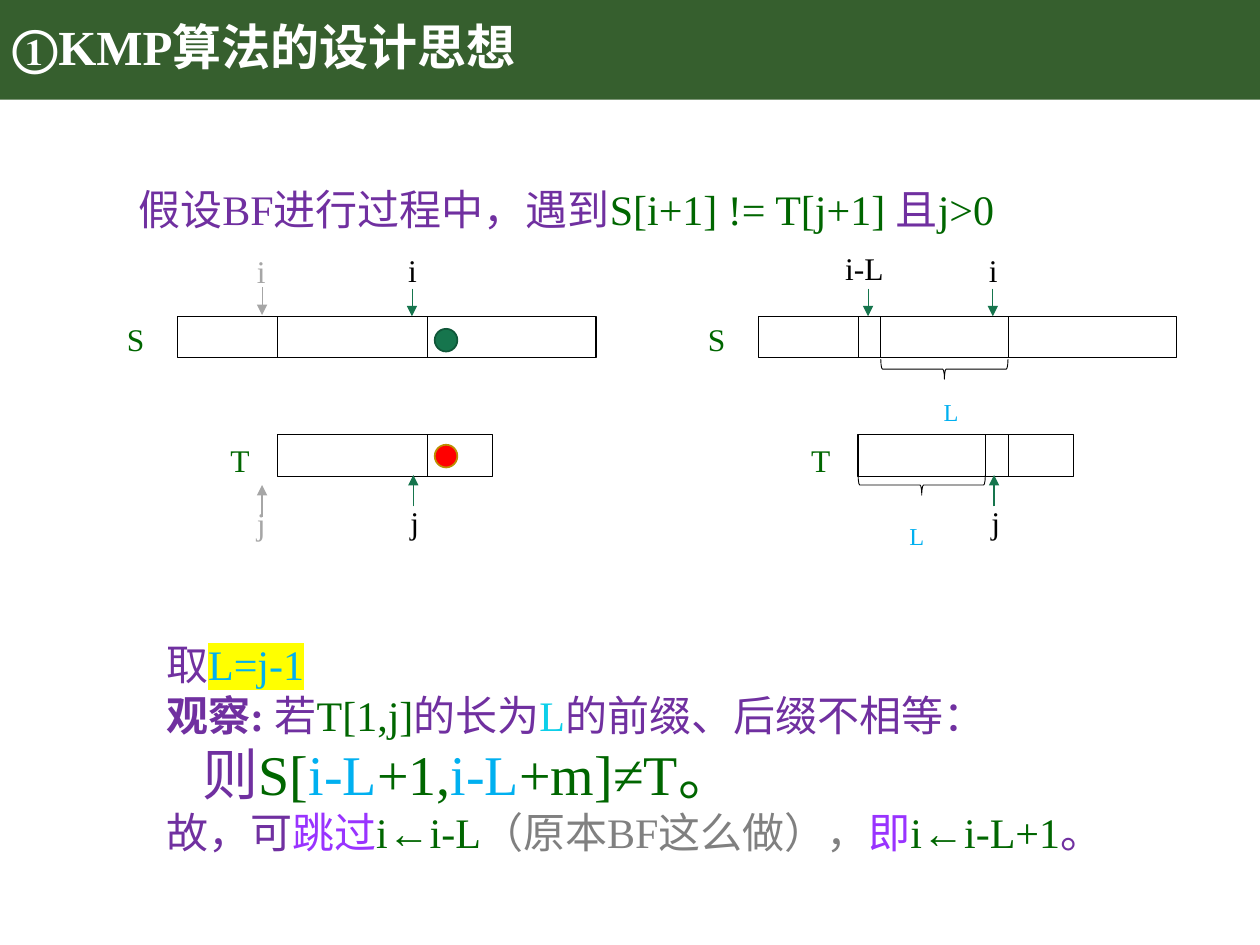
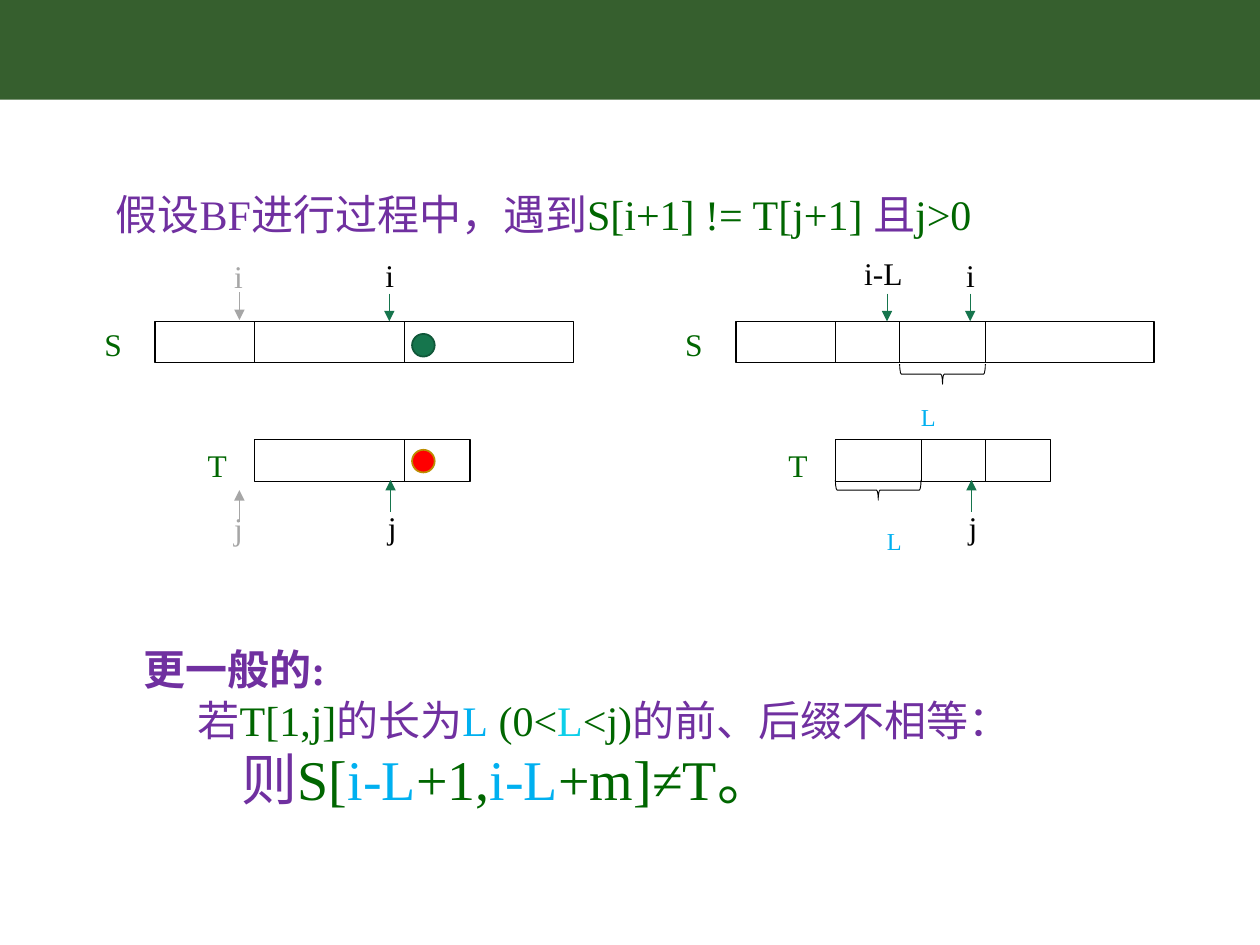
from dataclasses import dataclass

from lxml.etree import SubElement
from pptx import Presentation
from pptx.dml.color import RGBColor
from pptx.enum.shapes import MSO_CONNECTOR, MSO_SHAPE
from pptx.enum.text import MSO_ANCHOR, MSO_AUTO_SIZE, PP_ALIGN
from pptx.oxml.ns import qn
from pptx.util import Inches, Pt


@dataclass(frozen=True)
class Theme:
    font: str = "Times New Roman"
    band: str = "365F2E"
    white: str = "FFFFFF"
    black: str = "000000"
    gray: str = "A6A6A6"
    note: str = "808080"
    text: str = "7030A0"
    skip: str = "9933FF"
    code: str = "006600"
    blue: str = "00B0F0"
    cyan: str = "0DCFE9"
    mark: str = "FFFF00"
    green: str = "16754D"
    rim: str = "105739"
    red: str = "FF0000"
    gold: str = "BD8E00"
    title: int = 28
    large: int = 32
    body: int = 24
    label: int = 18


THEME = Theme()


@dataclass(frozen=True)
class Run:
    text: str
    color: str = THEME.text
    bold: bool = False
    mark: str = ""
    base: int = 0


@dataclass(frozen=True)
class Line:
    runs: list[Run]
    size: int = THEME.body
    indent: float = 0


@dataclass(frozen=True)
class Label:
    text: str
    x: float
    y: float
    width: float
    color: str = THEME.black


@dataclass(frozen=True)
class Arrow:
    x: float
    start: float
    end: float
    color: str = THEME.green
    weight: float = 0.5


@dataclass(frozen=True)
class Dot:
    y: float
    fill: str
    rim: str


@dataclass(frozen=True)
class Case:
    """One slide: where string S starts, the overlap length, and its words."""
    title: str
    x: float
    y: float
    overlap: float
    height: float
    lines: list[Line]


# Lengths inside a panel are measured from the top left corner of bar S.
STEP = 4.61
BAR = 0.33
S_WIDTH = 3.32
T_LEFT, T_TOP, T_WIDTH = 0.79, 0.94, 1.71
SPLIT = 1.98

LABELS = [
    Label("j", 1.75, 1.43, 0.36),
    Label("i", 1.73, -0.57, 0.36),
    Label("S", -0.5, -0.02, 0.44, THEME.code),
    Label("T", 0.32, 0.94, 0.44, THEME.code),
]
ARROWS = [Arrow(1.86, -0.22, 0), Arrow(1.87, 1.51, 1.26, weight=0.75)]
OLD_LABELS = [
    Label("j", 0.53, 1.44, 0.36, THEME.gray),
    Label("i", 0.53, -0.56, 0.36, THEME.gray),
]
OLD_ARROWS = [
    Arrow(0.67, -0.23, -0.01, THEME.gray),
    Arrow(0.67, 1.59, 1.34, THEME.gray, 0.75),
]
DOTS = [Dot(0.1, THEME.green, THEME.rim), Dot(1.02, THEME.red, THEME.gold)]

PREMISE = Line([
    Run("假设BF进行过程中，遇到"), Run("S[i+1] != T[j+1] ", THEME.code),
    Run("且"), Run("j>0", THEME.code),
])
RESULT = [
    Run("则"), Run("S[", THEME.code), Run("i-L", THEME.blue),
    Run("+1,", THEME.code), Run("i-L", THEME.blue),
    Run("+m]≠T。", THEME.code),
]
CASES = [
    Case("①KMP算法的设计思想", 1.41, 2.51, 1.01, 1.85, [
        Line([Run("取"), Run("L=j-1", THEME.blue, mark=THEME.mark)]),
        Line([Run("观察: ", bold=True), Run("若"),
              Run("T[1,j]", THEME.code), Run("的长为"),
              Run("L", THEME.cyan), Run("的前缀、后缀不相等：")]),
        Line(RESULT, THEME.large, 0.29),
        Line([Run("故，可"), Run("跳过", THEME.skip),
              Run("i←i-L", THEME.code),
              Run("（原本BF这么做），", THEME.note),
              Run("即", THEME.skip), Run("i←i-L+1", THEME.code),
              Run("。")]),
    ]),
    Case("", 1.23, 2.55, 0.68, 1.45, [
        Line([Run("更一般的:", bold=True)]),
        Line([Run("若"), Run("T[1,j]", THEME.code), Run("的长为"),
              Run("L", THEME.blue), Run(" (0<", THEME.code),
              Run("L", THEME.cyan), Run("<j)", THEME.code),
              Run("的前、后缀不相等：")], indent=0.43),
        Line(RESULT, THEME.large, 0.78),
    ]),
]


def rgb(color: str) -> RGBColor:
    return RGBColor.from_string(color)


def add_run(para, run: Run, size: int) -> None:
    part = para.add_run()
    part.text = run.text
    font = part.font
    font.name, font.size, font.bold = THEME.font, Pt(size), run.bold
    font.color.rgb = rgb(run.color)
    props = part._r.get_or_add_rPr()
    if run.base:
        props.set("baseline", str(run.base * 1000))
    if run.mark:
        mark = SubElement(props, qn("a:highlight"))
        SubElement(mark, qn("a:srgbClr")).set("val", run.mark)
        props.find(qn("a:solidFill")).addnext(mark)


def add_text(slide, x: float, y: float, width: float, height: float,
             lines: list[Line]) -> None:
    box = slide.shapes.add_textbox(Inches(x), Inches(y),
                                   Inches(width), Inches(height))
    frame = box.text_frame
    frame.word_wrap = True
    frame.auto_size = MSO_AUTO_SIZE.SHAPE_TO_FIT_TEXT
    for index, line in enumerate(lines):
        para = frame.add_paragraph() if index else frame.paragraphs[0]
        if line.indent:
            para._p.get_or_add_pPr().set("marL", str(Inches(line.indent)))
        for run in line.runs:
            add_run(para, run, line.size)


def add_shape(slide, kind, x: float, y: float, width: float, height: float,
              fill: str = "", line: str = "", weight: float = 0.75):
    shape = slide.shapes.add_shape(kind, Inches(x), Inches(y),
                                   Inches(width), Inches(height))
    shape.shadow.inherit = False
    if fill:
        shape.fill.solid()
        shape.fill.fore_color.rgb = rgb(fill)
    else:
        shape.fill.background()
    if line:
        shape.line.color.rgb = rgb(line)
        shape.line.width = Pt(weight)
    else:
        shape.line.fill.background()
    return shape


@dataclass(frozen=True)
class Panel:
    """Draws parts at places measured from the corner of bar S."""
    slide: object
    x: float
    y: float

    def label(self, item: Label) -> None:
        add_text(self.slide, self.x + item.x, self.y + item.y, item.width, 0.4,
                 [Line([Run(item.text, item.color)], THEME.label)])

    def stroke(self, item: Arrow, head: bool = True) -> None:
        x = Inches(self.x + item.x)
        line = self.slide.shapes.add_connector(
            MSO_CONNECTOR.STRAIGHT, x, Inches(self.y + item.start),
            x, Inches(self.y + item.end))
        line.line.color.rgb = rgb(item.color)
        line.line.width = Pt(item.weight)
        props = line.element.spPr
        if head:
            tail = SubElement(props.find(qn("a:ln")), qn("a:tailEnd"))
            tail.set("type", "triangle")
        SubElement(props, qn("a:effectLst"))

    def cut(self, x: float, top: float) -> None:
        self.stroke(Arrow(x, top, top + BAR, THEME.black), head=False)

    def bar(self, x: float, y: float, width: float) -> None:
        add_shape(self.slide, MSO_SHAPE.RECTANGLE, self.x + x, self.y + y,
                  width, BAR, line=THEME.black)

    def dot(self, item: Dot) -> None:
        add_shape(self.slide, MSO_SHAPE.OVAL, self.x + 2.04, self.y + item.y,
                  0.18, 0.18, item.fill, item.rim, 1)

    def brace(self, left: float, top: float, span: float) -> None:
        """Lay a right brace on its side, so that it opens upwards."""
        depth = 0.16
        shape = add_shape(self.slide, MSO_SHAPE.RIGHT_BRACE,
                          self.x + left + (span - depth) / 2,
                          self.y + top + (depth - span) / 2,
                          depth, span, line=THEME.black, weight=0.5)
        shape.rotation = 90

    def size(self, x: float, y: float) -> None:
        add_text(self.slide, self.x + x, self.y + y, 0.47, 0.37,
                 [Line([Run("L", THEME.blue, base=-25)])])

    def draw(self, labels: list[Label], arrows: list[Arrow]) -> None:
        self.bar(0, 0, S_WIDTH)
        self.bar(T_LEFT, T_TOP, T_WIDTH)
        for x, top in ((SPLIT, T_TOP), (T_LEFT, 0), (SPLIT, 0)):
            self.cut(x, top)
        for arrow in ARROWS + arrows:
            self.stroke(arrow)
        for label in LABELS + labels:
            self.label(label)


def draw_before(panel: Panel) -> None:
    panel.draw(OLD_LABELS, OLD_ARROWS)
    for dot in DOTS:
        panel.dot(dot)


def draw_after(panel: Panel, overlap: float) -> None:
    start = SPLIT - overlap
    panel.draw([Label("i-L", start - 0.38, -0.58, 0.56)],
               [Arrow(start - 0.1, -0.22, 0)])
    panel.cut(start, 0)
    panel.cut(T_LEFT + overlap, T_TOP)
    panel.brace(start, 0.34, overlap)
    panel.brace(T_LEFT, 1.26, overlap)
    panel.size(1.37, 0.37)
    panel.size(1.1, 1.35)


def set_title(slide, text: str) -> None:
    title = slide.shapes.title
    if not text:
        title.element.getparent().remove(title.element)
        return
    title.left, title.top = Inches(0), Inches(0)
    title.width, title.height = Inches(8.62), Inches(0.79)
    frame = title.text_frame
    frame.auto_size = MSO_AUTO_SIZE.NONE
    frame.vertical_anchor = MSO_ANCHOR.MIDDLE
    para = frame.paragraphs[0]
    para.alignment, para.line_spacing = PP_ALIGN.LEFT, 0.9
    add_run(para, Run(text, THEME.white, bold=True), THEME.title)


def add_band(slide) -> None:
    """Place the band on the layout, behind all that the slides hold."""
    band = add_shape(slide, MSO_SHAPE.RECTANGLE, 0, 0, 10, 0.79, THEME.band)
    slide.slide_layout.shapes.element.insert(2, band.element)


def main() -> None:
    deck = Presentation()
    deck.slide_width, deck.slide_height = Inches(10), Inches(7.5)
    layout = deck.slide_layouts[5]
    for index, case in enumerate(CASES):
        slide = deck.slides.add_slide(layout)
        if index == 0:
            add_band(slide)
        set_title(slide, case.title)
        add_text(slide, case.x - 0.41, case.y - 1.1, 8.02, 0.5, [PREMISE])
        draw_before(Panel(slide, case.x, case.y))
        draw_after(Panel(slide, case.x + STEP, case.y), case.overlap)
        add_text(slide, case.x - 0.19, case.y + 2.51, 8.51, case.height,
                 case.lines)
    deck.save("out.pptx")


if __name__ == "__main__":
    main()
